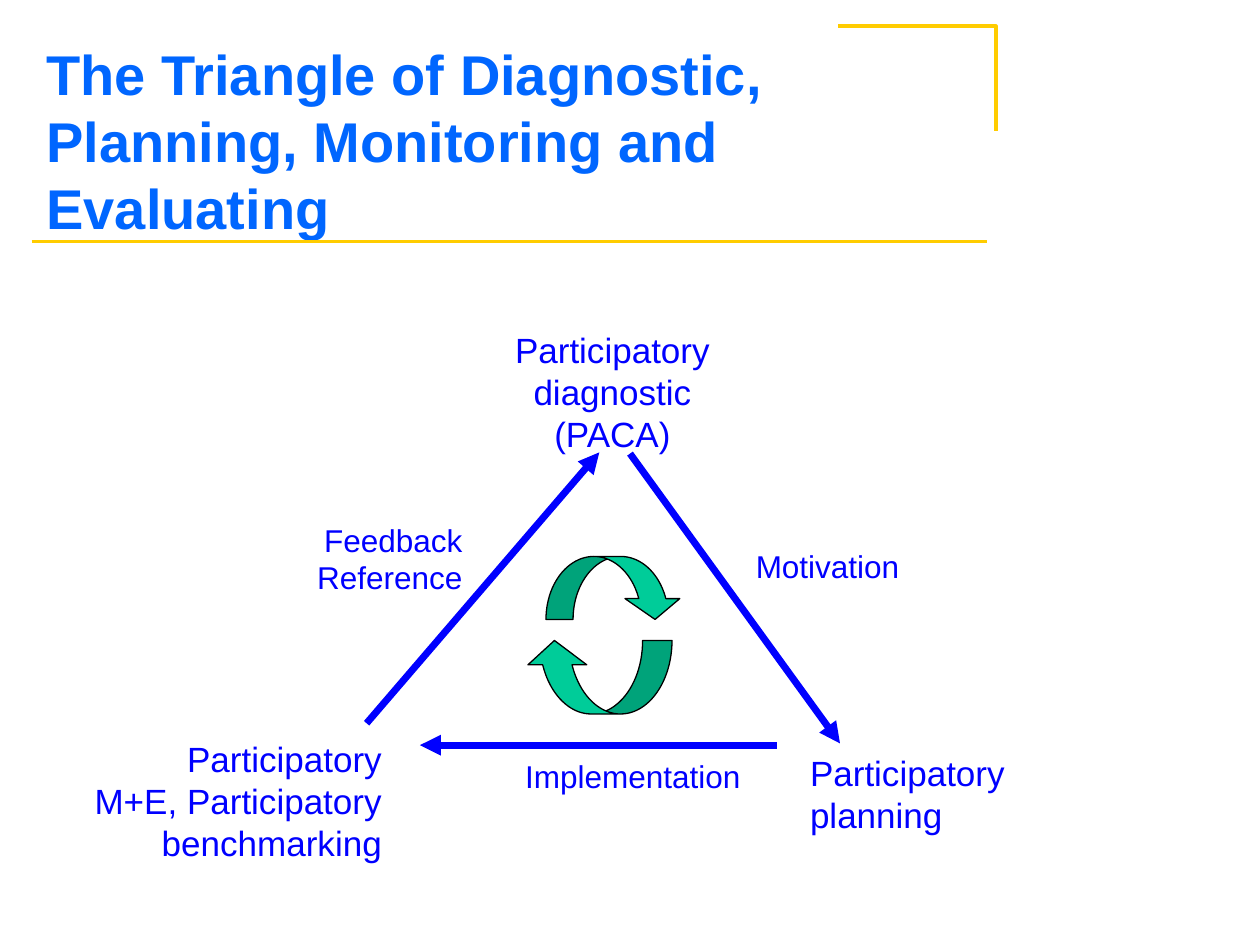
from lxml.etree import SubElement
from pptx import Presentation
from pptx.dml.color import RGBColor
from pptx.enum.shapes import MSO_CONNECTOR as Connector, MSO_SHAPE as Shape
from pptx.enum.text import MSO_ANCHOR as Anchor, MSO_AUTO_SIZE as AutoSize, PP_ALIGN as Align
from pptx.oxml.ns import qn
from pptx.util import Pt

GOLD = RGBColor(0xFF, 0xCC, 0x00)
BLUE = RGBColor(0x00, 0x00, 0xFF)
TITLE_BLUE = RGBColor(0x00, 0x66, 0xFF)
GREEN = RGBColor(0x00, 0xCC, 0x99)
BLACK = RGBColor(0x00, 0x00, 0x00)


def write(frame, text, size=20, color=BLUE, bold=False, align=Align.LEFT):
    """Fill a text frame with one paragraph per line of text."""
    frame.text = text
    for paragraph in frame.paragraphs:
        paragraph.alignment = align
        font = paragraph.font
        font.name, font.size, font.bold = "Arial", Pt(size), bold
        font.color.rgb = color


def add_title(slide, text, box):
    """Place and format the title placeholder."""
    title = slide.shapes.title
    title.left, title.top, title.width, title.height = map(Pt, box)
    frame = title.text_frame
    write(frame, text, size=32, color=TITLE_BLUE, bold=True)
    frame.word_wrap, frame.auto_size = True, AutoSize.NONE
    frame.vertical_anchor = Anchor.MIDDLE


def add_label(slide, text, box, **style):
    """Add an unwrapped label that fits its text."""
    frame = slide.shapes.add_textbox(*map(Pt, box)).text_frame
    frame.word_wrap, frame.auto_size = False, AutoSize.SHAPE_TO_FIT_TEXT
    write(frame, text, **style)


def add_line(slide, start, end, color, width, arrow=False):
    """Add a straight line, with an arrowhead at its end if asked."""
    line = slide.shapes.add_connector(Connector.STRAIGHT, *map(Pt, start + end))
    line.line.color.rgb, line.line.width = color, Pt(width)
    properties = line._element.spPr
    if arrow:
        SubElement(properties.find(qn("a:ln")), qn("a:tailEnd"), type="triangle")
    SubElement(properties, qn("a:effectLst"))


def add_corner(slide, start, *points):
    """Add the open gold corner beside the title."""
    builder = slide.shapes.build_freeform(*map(Pt, start))
    builder.add_line_segments([tuple(map(Pt, point)) for point in points], close=False)
    corner = builder.convert_to_shape()
    corner.shadow.inherit = False
    corner.fill.background()
    corner.line.color.rgb, corner.line.width = GOLD, Pt(2)


def add_cycle_arrow(slide, box, proportions, rotation=0):
    """Add one curved half of the central cycle."""
    arrow = slide.shapes.add_shape(Shape.CURVED_DOWN_ARROW, *map(Pt, box))
    arrow.rotation = rotation
    for index, proportion in enumerate(proportions):
        arrow.adjustments[index] = proportion
    arrow.shadow.inherit = False
    arrow.fill.solid()
    arrow.fill.fore_color.rgb = GREEN
    arrow.line.color.rgb, arrow.line.width = BLACK, Pt(0.75)


def main():
    """Build the triangle slide."""
    deck = Presentation()
    deck.slide_width, deck.slide_height = Pt(720), Pt(540)
    slide = deck.slides.add_slide(deck.slide_layouts[5])

    add_line(slide, (18, 138), (564, 138), GOLD, 2)
    add_corner(slide, (479, 15), (569, 15), (569, 75))
    add_title(slide, "The Triangle of Diagnostic, Planning, Monitoring and Evaluating",
              (19.4, 26, 538.6, 108))

    stages = [
        ("Participatory\ndiagnostic\n(PACA)", (286, 184.3, 128, 79.2), Align.CENTER),
        ("Participatory\nplanning", (455.8, 426, 128, 55.4), Align.LEFT),
        ("Participatory\nM+E, Participatory\nbenchmarking", (45.4, 418, 180, 79.2), Align.RIGHT),
    ]
    for text, box, align in stages:
        add_label(slide, text, box, align=align)

    steps = [
        ("Motivation", (424.8, 309, 98, 28.8), Align.LEFT, (360, 259.2), (480, 424.8)),
        ("Implementation", (293, 429, 139, 28.8), Align.LEFT, (444, 425.8), (240, 425.8)),
        ("Feedback\nReference", (173.4, 294, 98, 50.4), Align.RIGHT, (209.5, 413.3), (342.5, 258.5)),
    ]
    for text, box, align, start, end in steps:
        add_line(slide, start, end, BLUE, 4, arrow=True)
        add_label(slide, text, box, size=18, align=align)

    add_cycle_arrow(slide, (312, 318, 78, 36), (0.43, 0.87, 0.33))
    add_cycle_arrow(slide, (300, 366, 84, 42), (0.4, 0.8, 0.33), rotation=180)
    deck.save("out.pptx")


if __name__ == "__main__":
    main()
